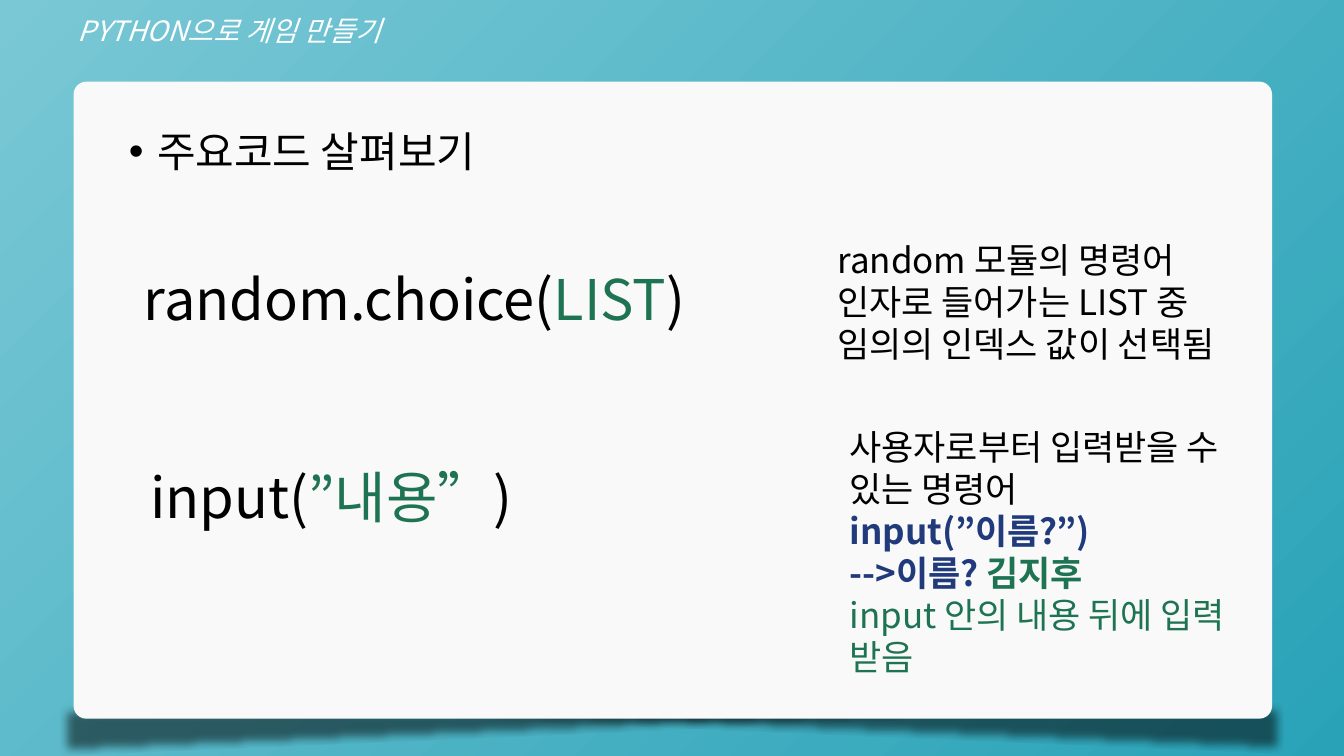
from dataclasses import dataclass
from lxml.etree import SubElement
from pptx import Presentation
from pptx.dml.color import RGBColor
from pptx.enum.shapes import MSO_SHAPE
from pptx.enum.text import MSO_ANCHOR, PP_ALIGN
from pptx.oxml.ns import qn
from pptx.util import Pt


@dataclass(frozen=True)
class Theme:
    font: str = "Noto Sans CJK KR"
    sky: str = "7AC8D5"
    teal: str = "29A2B7"
    card: str = "F9F9F9"
    black: str = "000000"
    white: str = "FFFFFF"
    green: str = "1E7452"
    navy: str = "203A7B"
    header: int = 20
    note: int = 25
    topic: int = 30
    code: int = 40
    leading: float = 1.2


THEME = Theme()
BLACK, GREEN, NAVY = THEME.black, THEME.green, THEME.navy

HEADER = [[("PYTHON으로 게임 만들기", THEME.white, False)]]
TOPIC = [[("주요코드 살펴보기", BLACK, False)]]
COMMANDS = [
    {
        "code": [[("random.choice(", BLACK, False), ("LIST", GREEN, False), (")", BLACK, False)]],
        "code_at": (95.76, 185.76, 556.56, 55),
        "note": [
            [("random 모듈의 명령어", BLACK, False)],
            [("인자로 들어가는 LIST 중", BLACK, False)],
            [("임의의 인덱스 값이 선택됨", BLACK, False)],
        ],
        "note_at": (591.12, 167.04, 289.44, 126.72),
    },
    {
        "code": [[("input(", BLACK, False), ("”내용”", GREEN, False), (")", BLACK, False)]],
        "code_at": (100.08, 326.88, 556.56, 55),
        "note": [
            [("사용자로부터 입력받을 수 있는 명령어", BLACK, False)],
            [("input(”이름?”)", NAVY, True)],
            [("-->이름? ", NAVY, True), ("김지후", GREEN, True)],
            [("input 안의 내용 뒤에 입력 받음", GREEN, False)],
        ],
        "note_at": (599.76, 300.24, 289.44, 216.72),
    },
]
CARD_AT = (52.56, 58.32, 856.08, 455.04)
SHADOWS = [
    ((51.12, 502.56, 865.44, 36), ("flipH", "flipV")),
    ((43.2, 504, 865.44, 36), ("flipV",)),
]


def rgb(value):
    return RGBColor.from_string(value)


def points(box):
    return [Pt(length) for length in box]


def write(holder, paragraphs, size, italic=False):
    frame = holder.text_frame
    frame.word_wrap = True
    frame.vertical_anchor = MSO_ANCHOR.TOP
    for index, runs in enumerate(paragraphs):
        paragraph = frame.add_paragraph() if index else frame.paragraphs[0]
        paragraph.alignment = PP_ALIGN.LEFT
        paragraph.line_spacing = Pt(size * THEME.leading)
        paragraph.space_before = Pt(0)
        for text, color, bold in runs:
            run = paragraph.add_run()
            run.text = text
            run.font.size = Pt(size)
            run.font.name = THEME.font
            run.font.bold = bold
            run.font.italic = italic
            run.font.color.rgb = rgb(color)
            SubElement(run.font._element, qn("a:ea"), typeface=THEME.font)


def add_text(box, paragraphs, size):
    holder = slide.shapes.add_textbox(*points(box))
    write(holder, paragraphs, size)
    return holder


def add_panel(kind, box, color):
    panel = slide.shapes.add_shape(kind, *points(box))
    panel.shadow.inherit = False
    panel.fill.solid()
    panel.fill.fore_color.rgb = rgb(color)
    panel.line.fill.background()
    return panel


deck = Presentation()
deck.slide_width, deck.slide_height = Pt(960), Pt(540)
slide = deck.slides.add_slide(deck.slide_layouts[5])

backdrop = slide.background.fill
backdrop.gradient()
backdrop.gradient_angle = 315
for stop, color in zip(backdrop.gradient_stops, (THEME.sky, THEME.teal)):
    stop.color.rgb = rgb(color)

for box, flips in SHADOWS:
    shadow = add_panel(MSO_SHAPE.RIGHT_TRIANGLE, box, THEME.black)
    properties = shadow.element.spPr
    for flip in flips:
        properties.xfrm.set(flip, "1")
    SubElement(properties.find(".//" + qn("a:srgbClr")), qn("a:alpha"), val="51000")
    SubElement(properties.find(qn("a:effectLst")), qn("a:softEdge"), rad=str(Pt(6)))

card = add_panel(MSO_SHAPE.ROUNDED_RECTANGLE, CARD_AT, THEME.card)
card.adjustments[0] = 0.02

header = slide.shapes.title
header.left, header.top, header.width, header.height = points((48.24, 5.76, 541.44, 31))
write(header, HEADER, THEME.header, italic=True)

topic = add_text((84.96, 86.4, 328.32, 216), TOPIC, THEME.topic)
bullet = topic.text_frame.paragraphs[0]._p.get_or_add_pPr()
bullet.set("marL", str(Pt(20.16)))
bullet.set("indent", str(-Pt(20.16)))
SubElement(bullet, qn("a:buFont"), typeface="Arial")
SubElement(bullet, qn("a:buChar"), char="•")

for command in COMMANDS:
    add_text(command["code_at"], command["code"], THEME.code)
    add_text(command["note_at"], command["note"], THEME.note)

deck.save("out.pptx")
